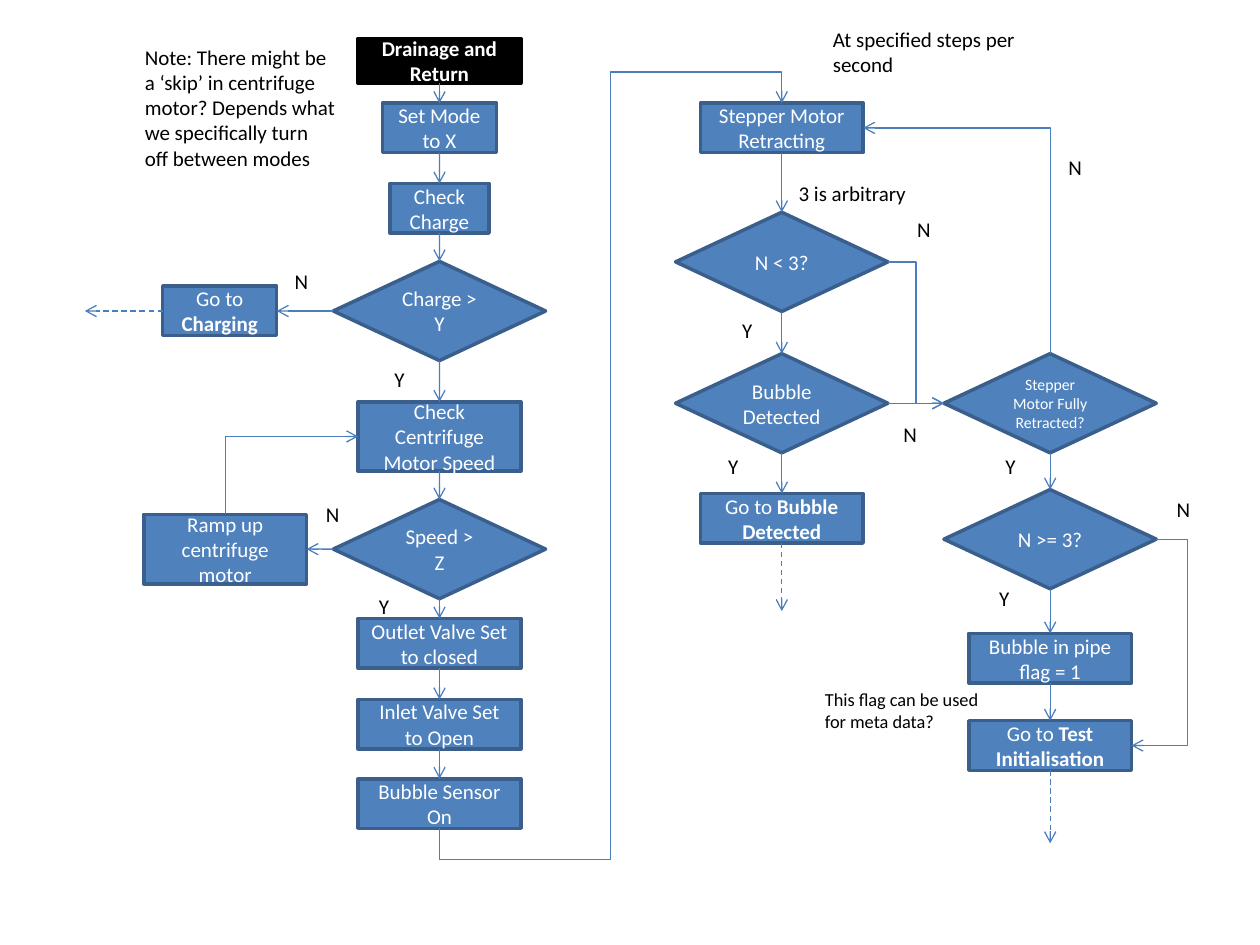
from dataclasses import dataclass

from lxml import etree
from pptx import Presentation
from pptx import util as u
from pptx.dml.color import RGBColor
from pptx.enum import dml, shapes, text
from pptx.oxml import ns

FONT = "Calibri"
BLUE, EDGE, ARROW = "4F81BD", "3A5F8C", "4B7EBC"
BLACK, WHITE = "000000", "FFFFFF"
LEFT, MIDDLE, RIGHT = 8.86, 15.76, 21.17
RECTANGLE = shapes.MSO_SHAPE.RECTANGLE
DECISION = shapes.MSO_SHAPE.FLOWCHART_DECISION
TOP_SIDE, LEFT_SIDE, BOTTOM_SIDE, RIGHT_SIDE = range(4)


@dataclass
class Node:
    name: str
    center: float
    top: float
    words: str
    bold: str = ""
    width: float = 3.28
    height: float = 1.0
    kind: shapes.MSO_SHAPE = RECTANGLE
    size: float = 12
    fill: str = BLUE
    edge: str = EDGE


@dataclass
class Decision(Node):
    width: float = 4.28
    height: float = 2.0
    kind: shapes.MSO_SHAPE = DECISION


@dataclass
class Label:
    words: str
    left: float
    top: float
    width: float = 0.75
    height: float = 0.76
    size: float = 12
    wrap: bool = False


@dataclass
class Link:
    begin: str
    end: str
    begin_side: int = BOTTOM_SIDE
    end_side: int = TOP_SIDE


@dataclass
class Elbow(Link):
    preset: str = "bentConnector3"
    rotation: int = 0
    flips: str = ""
    bends: tuple = ()


@dataclass
class Exit:
    begin: str
    side: int
    dx: float
    dy: float


NODES = [
    Node("start", LEFT, 0.78, "", "Drainage and Return", height=0.9, fill=BLACK, edge=BLACK),
    Node("mode", LEFT, 2.08, "Set Mode to X", width=2.3),
    Node("charge", LEFT, 3.7, "Check Charge", width=2.0),
    Decision("charge test", LEFT, 5.27, "Charge > Y"),
    Node("charging", 4.43, 5.77, "Go to ", "Charging", width=2.3),
    Node("speed", LEFT, 8.1, "Check Centrifuge Motor Speed", height=1.4),
    Decision("speed test", LEFT, 10.07, "Speed > Z"),
    Node("ramp", 4.54, 10.37, "Ramp up centrifuge motor", height=1.4),
    Node("outlet", LEFT, 12.47, "Outlet Valve Set to closed"),
    Node("inlet", LEFT, 14.1, "Inlet Valve Set to Open"),
    Node("sensor", LEFT, 15.7, "Bubble Sensor On"),
    Node("retracting", MIDDLE, 2.08, "Stepper Motor Retracting"),
    Decision("below three", MIDDLE, 4.28, "N < 3?"),
    Decision("bubble test", MIDDLE, 7.13, "Bubble Detected"),
    Node("bubble", MIDDLE, 9.95, "Go to ", "Bubble Detected"),
    Decision("retracted", RIGHT, 7.13, "Stepper Motor Fully Retracted?", size=9),
    Decision("three or more", RIGHT, 9.87, "N >= 3?"),
    Node("flag", RIGHT, 12.77, "Bubble in pipe flag = 1"),
    Node("test", RIGHT, 14.53, "Go to ", "Test Initialisation"),
]

COLUMNS = [
    ("start", "mode", "charge", "charge test", "speed", "speed test", "outlet", "inlet", "sensor"),
    ("retracting", "below three", "bubble test", "bubble"),
    ("retracted", "three or more", "flag", "test"),
]

SIDE_LINKS = [
    Link("charge test", "charging", LEFT_SIDE, RIGHT_SIDE),
    Link("speed test", "ramp", LEFT_SIDE, RIGHT_SIDE),
    Link("bubble test", "retracted", RIGHT_SIDE, LEFT_SIDE),
]

ELBOWS = [
    Elbow("ramp", "speed", TOP_SIDE, LEFT_SIDE, "bentConnector2", 90, "HV"),
    Elbow("sensor", "retracting", BOTTOM_SIDE, TOP_SIDE, "bentConnector5", 90, "HV",
          (-4300, 50000, 104300)),
    Elbow("retracted", "retracting", TOP_SIDE, RIGHT_SIDE, "bentConnector2", 270, "V"),
    Elbow("below three", "retracted", RIGHT_SIDE, LEFT_SIDE),
    Elbow("three or more", "test", RIGHT_SIDE, RIGHT_SIDE, flips="H", bends=(-125200,)),
]

EXITS = [
    Exit("charging", LEFT_SIDE, -1.57, 0),
    Exit("bubble", BOTTOM_SIDE, 0, 1.37),
    Exit("test", BOTTOM_SIDE, 0, 1.47),
]

LABELS = [
    Label("Note: There might be a ‘skip’ in centrifuge motor? Depends what we specifically "
          "turn off between modes", 2.67, 0.77, 4.34, 2.82, wrap=True),
    Label("At specified steps per second", 16.54, 0.41, 5.44, 1.28, wrap=True),
    Label("3 is arbitrary", 15.85, 3.52, 4.78, wrap=True),
    Label("This flag can be used\vfor meta data?", 16.38, 13.75, 4.19, 1.15, 10.5, True),
    *(Label("N", left, top) for left, top in [
        (5.69, 5.28), (6.32, 9.98), (17.96, 8.38), (21.29, 3.0), (18.24, 4.24), (23.47, 9.88)]),
    *(Label("Y", left, top) for left, top in [
        (7.7, 7.27), (7.39, 11.84), (14.43, 9.02), (19.89, 11.68), (14.71, 6.27), (20.02, 9.02)]),
]


def color(value: str) -> RGBColor:
    return RGBColor.from_string(value)


def format_font(paragraph, size: float, value: str) -> None:
    paragraph.font.name = FONT
    paragraph.font.size = u.Pt(size)
    paragraph.font.color.rgb = color(value)


def draw_node(slide, node: Node):
    shape = slide.shapes.add_shape(
        node.kind, u.Cm(node.center - node.width / 2), u.Cm(node.top),
        u.Cm(node.width), u.Cm(node.height))
    shape.shadow.inherit = False
    shape.fill.solid()
    shape.fill.fore_color.rgb = color(node.fill)
    shape.line.color.rgb = color(node.edge)
    shape.line.width = u.Pt(2)
    shape.text_frame.vertical_anchor = text.MSO_ANCHOR.MIDDLE
    paragraph = shape.text_frame.paragraphs[0]
    paragraph.alignment = text.PP_ALIGN.CENTER
    format_font(paragraph, node.size, WHITE)
    if node.words:
        paragraph.add_run().text = node.words
    if node.bold:
        run = paragraph.add_run()
        run.text = node.bold
        run.font.bold = True
    return shape


def draw_label(slide, label: Label) -> None:
    box = slide.shapes.add_textbox(
        u.Cm(label.left), u.Cm(label.top), u.Cm(label.width), u.Cm(label.height))
    frame = box.text_frame
    frame.word_wrap = label.wrap
    frame.auto_size = text.MSO_AUTO_SIZE.SHAPE_TO_FIT_TEXT
    frame.text = label.words
    format_font(frame.paragraphs[0], label.size, BLACK)


def add_arrow(slide, kind=shapes.MSO_CONNECTOR.STRAIGHT):
    connector = slide.shapes.add_connector(kind, 0, 0, 0, 0)
    connector.line.color.rgb = color(ARROW)
    connector.line.width = u.Pt(0.75)
    outline = connector.line._get_or_add_ln()
    etree.SubElement(outline, ns.qn("a:tailEnd"), type="arrow")
    etree.SubElement(connector._element.spPr, ns.qn("a:effectLst"))
    return connector


def draw_link(slide, nodes: dict, link: Link, kind=shapes.MSO_CONNECTOR.STRAIGHT):
    connector = add_arrow(slide, kind)
    connector.begin_connect(nodes[link.begin], link.begin_side)
    connector.end_connect(nodes[link.end], link.end_side)
    return connector


def draw_elbow(slide, nodes: dict, elbow: Elbow) -> None:
    connector = draw_link(slide, nodes, elbow, shapes.MSO_CONNECTOR.ELBOW)
    left, top, width, height = connector.left, connector.top, connector.width, connector.height
    if elbow.rotation % 180:
        shift = (width - height) // 2
        connector.left, connector.top = left + shift, top - shift
        connector.width, connector.height = height, width
    properties = connector._element.spPr
    frame = properties.find(ns.qn("a:xfrm"))
    frame.set("rot", str(elbow.rotation * 60000))
    for axis in "HV":
        frame.set(f"flip{axis}", str(int(axis in elbow.flips)))
    geometry = properties.find(ns.qn("a:prstGeom"))
    geometry.set("prst", elbow.preset)
    guides = geometry.find(ns.qn("a:avLst"))
    for number, bend in enumerate(elbow.bends, 1):
        etree.SubElement(guides, ns.qn("a:gd"), name=f"adj{number}", fmla=f"val {bend}")


def draw_exit(slide, nodes: dict, way_out: Exit) -> None:
    connector = add_arrow(slide)
    connector.begin_connect(nodes[way_out.begin], way_out.side)
    connector.end_x = connector.begin_x + u.Cm(way_out.dx)
    connector.end_y = connector.begin_y + u.Cm(way_out.dy)
    connector.line.dash_style = dml.MSO_LINE.DASH


def main() -> None:
    presentation = Presentation()
    presentation.slide_width, presentation.slide_height = u.Cm(25.4), u.Cm(19.05)
    slide = presentation.slides.add_slide(presentation.slide_layouts[6])
    nodes = {node.name: draw_node(slide, node) for node in NODES}
    for column in COLUMNS:
        for begin, end in zip(column, column[1:]):
            draw_link(slide, nodes, Link(begin, end))
    for link in SIDE_LINKS:
        draw_link(slide, nodes, link)
    for elbow in ELBOWS:
        draw_elbow(slide, nodes, elbow)
    for way_out in EXITS:
        draw_exit(slide, nodes, way_out)
    for label in LABELS:
        draw_label(slide, label)
    presentation.save("out.pptx")


if __name__ == "__main__":
    main()
